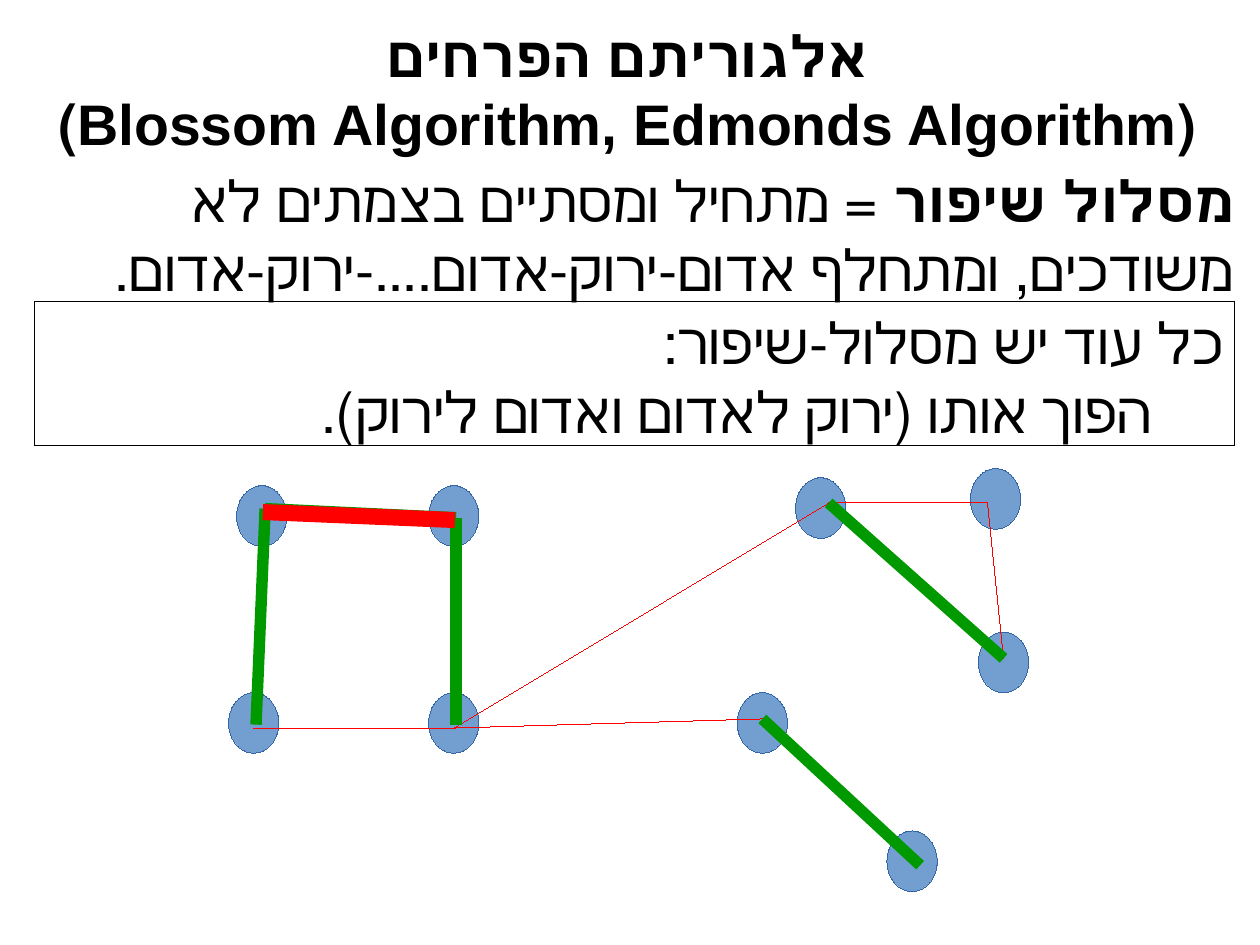
import pptx
import pptx.dml.color
import pptx.enum.shapes
import pptx.enum.text
import pptx.oxml
import pptx.util
from pptx.util import Inches


def color(value):
    return pptx.dml.color.RGBColor.from_string(value)


class GraphSlide:
    font_name = "Arial"
    font_size = 36
    ink = "000000"
    node_fill = "729FCF"
    node_line = "3465A4"
    node_width, node_height = 0.44, 0.53
    hairline = 0.01

    def __init__(self, presentation):
        self.slide = presentation.slides.add_slide(presentation.slide_layouts[6])

    def outline(self, shape, line_color, width):
        shape.line.color.rgb = color(line_color)
        shape.line.width = pptx.util.Pt(width)

    def text(self, bounds, paragraphs, align, anchor="TOP", insets=(0.1, 0.05), outlined=False):
        shapes = self.slide.shapes
        box = [Inches(length) for length in bounds]
        if outlined:
            shape = shapes.add_shape(pptx.enum.shapes.MSO_SHAPE.RECTANGLE, *box)
            shape.shadow.inherit = False
            shape.fill.background()
            self.outline(shape, self.ink, self.hairline)
        else:
            shape = shapes.add_textbox(*box)
        frame = shape.text_frame
        frame.word_wrap = True
        frame.vertical_anchor = getattr(pptx.enum.text.MSO_ANCHOR, anchor)
        frame.margin_left = frame.margin_right = Inches(insets[0])
        frame.margin_top = frame.margin_bottom = Inches(insets[1])
        for index, (indent, runs) in enumerate(paragraphs):
            paragraph = frame.add_paragraph() if index else frame.paragraphs[0]
            paragraph.alignment = getattr(pptx.enum.text.PP_ALIGN, align)
            properties = paragraph._p.get_or_add_pPr()
            properties.set("rtl", "1")
            if indent:
                properties.set("marL", str(Inches(indent)))
                properties.set("marR", str(Inches(indent)))
            for words, bold in runs:
                for line_number, words_in_line in enumerate(words.split("\n")):
                    if line_number:
                        paragraph.add_line_break()
                    run = paragraph.add_run()
                    run.text = words_in_line
                    run.font.name = self.font_name
                    run.font.size = pptx.util.Pt(self.font_size)
                    run.font.bold = bold
                    run.font.color.rgb = color(self.ink)

    def node(self, left, top):
        shape = self.slide.shapes.add_shape(
            pptx.enum.shapes.MSO_SHAPE.OVAL, Inches(left), Inches(top),
            Inches(self.node_width), Inches(self.node_height))
        shape.shadow.inherit = False
        shape.fill.solid()
        shape.fill.fore_color.rgb = color(self.node_fill)
        self.outline(shape, self.node_line, self.hairline)

    def edge(self, start, end, line_color, width):
        connector = self.slide.shapes.add_connector(
            pptx.enum.shapes.MSO_CONNECTOR.STRAIGHT,
            *(Inches(length) for length in (*start, *end)))
        self.outline(connector, line_color, width)
        connector._element.spPr.append(pptx.oxml.parse_xml(
            '<a:effectLst xmlns:a="http://schemas.openxmlformats.org/drawingml/2006/main"/>'))


RED, GREEN = "FF0000", "009900"
CENTIMETERS_PER_INCH = 2.54
NODES = [(2.07, 4.25), (3.75, 4.25), (2, 6.06), (3.75, 6.06), (6.45, 6.06),
         (8.49, 4.1), (8.56, 5.53), (6.96, 4.18), (7.76, 7.27)]
SQUARE_LEFT, SQUARE_RIGHT = (2.22, 6.37), (3.97, 6.37)
TRIANGLE_LEFT, TRIANGLE_TOP, TRIANGLE_BOTTOM = (7.25, 4.4), (8.64, 4.4), (8.78, 5.76)
TAIL_START, TAIL_END = (6.67, 6.29), (8.05, 7.57)
MATCH_LEFT, MATCH_RIGHT = (2.32, 4.45), (3.99, 4.53)

UNMATCHED = [(SQUARE_LEFT, SQUARE_RIGHT), (TRIANGLE_LEFT, TRIANGLE_TOP),
             (TRIANGLE_TOP, TRIANGLE_BOTTOM), (SQUARE_RIGHT, TAIL_START),
             (SQUARE_RIGHT, TRIANGLE_LEFT)]
MATCHED = [(MATCH_LEFT, MATCH_RIGHT), (MATCH_LEFT, (2.24, 6.34)),
           (MATCH_RIGHT, (3.99, 6.34)), (TAIL_START, TAIL_END),
           (TRIANGLE_LEFT, TRIANGLE_BOTTOM)]


def main():
    presentation = pptx.Presentation()
    presentation.slide_width = Inches(28 / CENTIMETERS_PER_INCH)
    presentation.slide_height = Inches(21 / CENTIMETERS_PER_INCH)
    graph = GraphSlide(presentation)

    graph.text((0.08, -0.05, 10.82, 1.65),
               [(0, [("אלגוריתם הפרחים\n(Blossom Algorithm, Edmonds Algorithm)", True)])],
               "CENTER", "MIDDLE", (0, 0))
    graph.text((0.08, 1.4, 10.82, 1.26),
               [(0, [("מסלול שיפור ", True),
                     ("= מתחיל ומסתיים בצמתים לא משודכים, ומתחלף "
                      "אדום-ירוק-אדום....-ירוק-אדום.", False)])],
               "RIGHT")
    for left, top in NODES:
        graph.node(left, top)
    for start, end in UNMATCHED:
        graph.edge(start, end, RED, graph.hairline)
    graph.text((0.3, 2.64, 10.5, 1.26),
               [(0, [("כל עוד יש מסלול-שיפור:", False)]),
                (0.62, [("הפוך אותו (ירוק לאדום ואדום לירוק).", False)])],
               "RIGHT", outlined=True)
    for start, end in MATCHED:
        graph.edge(start, end, GREEN, 7.2)
    graph.edge((2.3, 4.48), (3.98, 4.55), RED, 10.09)

    presentation.save("out.pptx")


if __name__ == "__main__":
    main()
